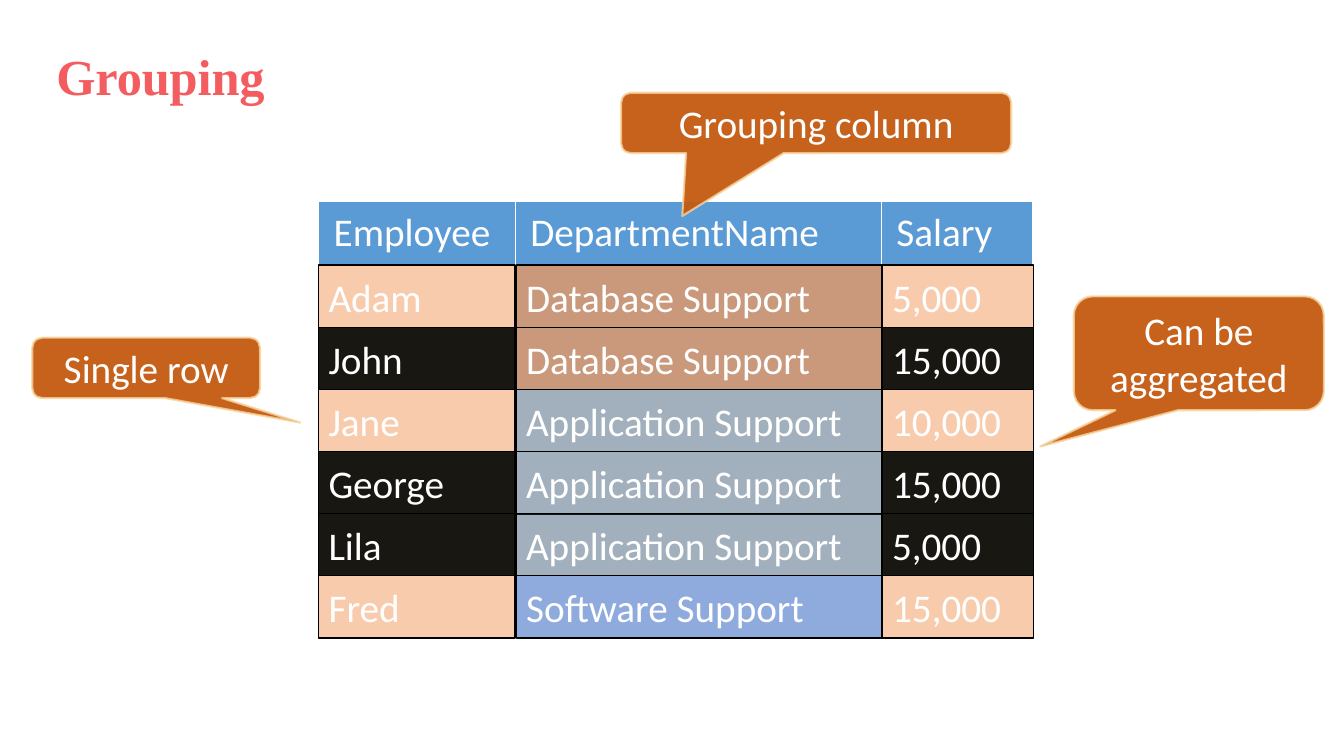
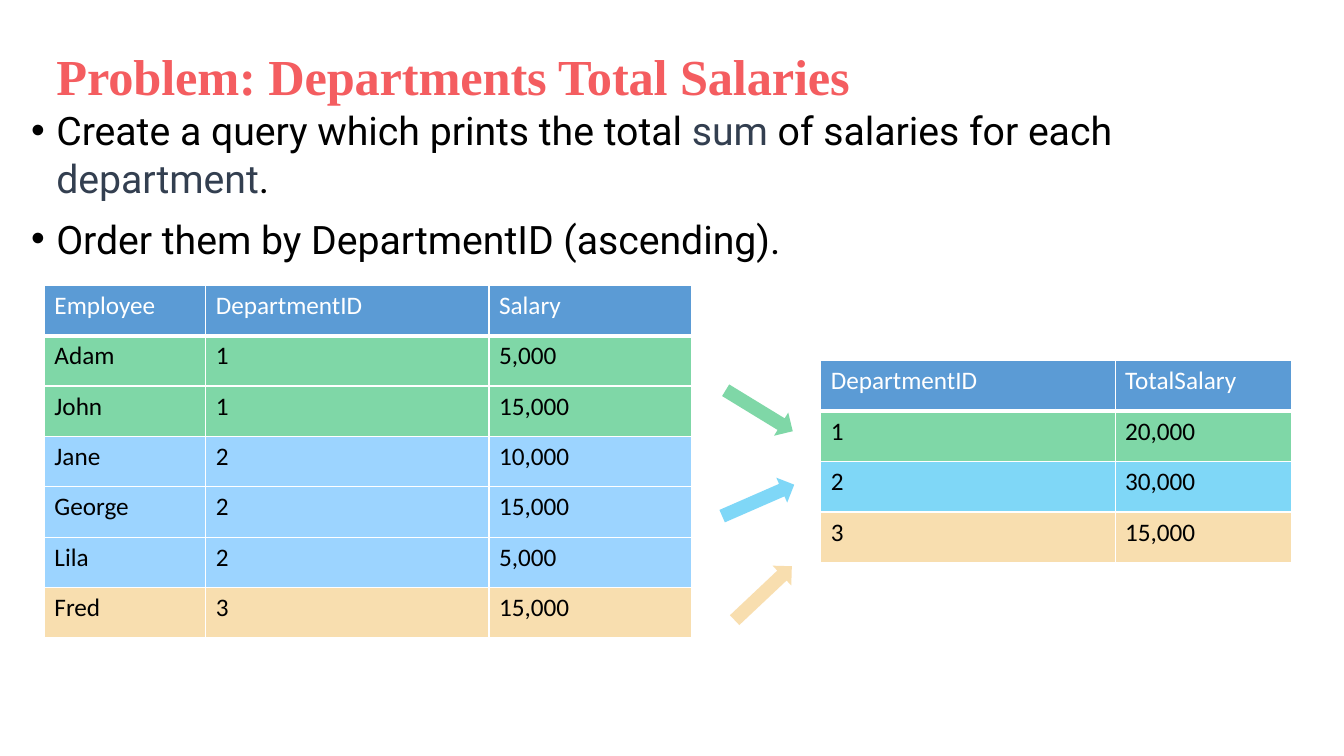
import pptx
import pptx.dml.color
import pptx.enum.shapes
import pptx.enum.text
import pptx.oxml
import pptx.oxml.ns
import pptx.util

Inches = pptx.util.Inches
Pt = pptx.util.Pt
qn = pptx.oxml.ns.qn
Shape = pptx.enum.shapes.MSO_SHAPE
Align = pptx.enum.text.PP_ALIGN
Anchor = pptx.enum.text.MSO_ANCHOR

WHITE, BLACK = "FFFFFF", "000000"
TITLE, HEADER, NAVY = "F45D60", "5B9BD5", "333F50"
PEACH, DARK, SOFTWARE = "F8CBAD", "191711", "8FAADC"
ORANGE, GREY, VEIL = "ED7D31", "A5A5A5", "2E75B6"
CALLOUT, CALLOUT_EDGE = "C55A11", "F8D49E"
GREEN, BLUE, CYAN, SAND = "00B050", "3BABFF", "00B0F0", "F3BE60"

EMPLOYEES = [
    ("Adam", "Database Support", "1", "5,000"),
    ("John", "Database Support", "1", "15,000"),
    ("Jane", "Application Support", "2", "10,000"),
    ("George", "Application Support", "2", "15,000"),
    ("Lila", "Application Support", "2", "5,000"),
    ("Fred", "Software Support", "3", "15,000"),
]


def color(value):
    return pptx.dml.color.RGBColor.from_string(value)


def paint(fill, parent, value, opacity=100):
    fill.solid()
    fill.fore_color.rgb = color(value)
    if opacity < 100:
        tint = parent.find(qn("a:solidFill")).find(qn("a:srgbClr"))
        alpha = tint.makeelement(qn("a:alpha"), {"val": str(opacity * 1000)})
        tint.append(alpha)


def add_span(para, text, size, value, font="Calibri"):
    span = para.add_run()
    span.text = text
    span.font.size = Pt(size)
    span.font.name = font
    span.font.color.rgb = color(value)
    return span


def add_page(deck, title, width):
    page = deck.slides.add_slide(deck.slide_layouts[5])
    box = page.shapes.title
    box.left, box.top = Inches(0.46), Inches(0.4)
    box.width, box.height = Inches(width), Inches(0.71)
    frame = box.text_frame
    frame.word_wrap = True
    frame.auto_size = pptx.enum.text.MSO_AUTO_SIZE.NONE
    frame.vertical_anchor = Anchor.TOP
    para = frame.paragraphs[0]
    para.alignment = Align.LEFT
    span = add_span(para, title, 36, TITLE, "Times New Roman")
    span.font.bold = True
    span.font._element.set("spc", "-10")
    return page


def add_block(page, kind, place, fill, opacity=100, line=None, weight=1, line_opacity=100):
    shape = page.shapes.add_shape(kind, *[Inches(value) for value in place])
    shape.shadow.inherit = False
    properties = shape._element.spPr
    paint(shape.fill, properties, fill, opacity)
    if line:
        shape.line.width = Pt(weight)
        paint(shape.line.fill, properties.find(qn("a:ln")), line, line_opacity)
    else:
        shape.line.fill.background()
    return shape


def write_label(shape, text, alignment=Align.LEFT):
    frame = shape.text_frame
    frame.word_wrap = True
    frame.vertical_anchor = Anchor.MIDDLE
    para = frame.paragraphs[0]
    para.alignment = alignment
    add_span(para, text, 28, WHITE)


def add_callout(page, place, tip, text):
    shape = add_block(page, Shape.ROUNDED_RECTANGULAR_CALLOUT, place, CALLOUT, 95,
                      CALLOUT_EDGE, 1.5, 80)
    shape.adjustments[0], shape.adjustments[1] = tip
    write_label(shape, text, Align.CENTER)


def add_arrow(page, left, top, rotation, fill):
    arrow = add_block(page, Shape.RIGHT_ARROW, (left, top, 0.78, 0.27), fill, 50)
    arrow.rotation = rotation


def set_borders(cell, bottom):
    properties = cell._tc.get_or_add_tcPr()
    for side, weight in (("L", 1), ("R", 1), ("T", 1), ("B", bottom)):
        properties.append(pptx.oxml.parse_xml(
            f'<a:ln{side} xmlns:a="http://schemas.openxmlformats.org/drawingml/2006/main" '
            f'w="{Pt(weight)}"><a:solidFill><a:srgbClr val="{WHITE}"/></a:solidFill></a:ln{side}>'))


def add_grid(page, left, top, widths, row_height, header, rows=(), fills=(), size=18, inset=None):
    lines = [header, *rows]
    frame = page.shapes.add_table(len(lines), len(widths), Inches(left), Inches(top),
                                  Inches(sum(widths)), Inches(row_height * len(lines)))
    table = frame.table
    table.first_row = table.horz_banding = False
    for column, width in zip(table.columns, widths):
        column.width = Inches(width)
    for row, texts in enumerate(lines):
        table.rows[row].height = Inches(row_height)
        for column, text in enumerate(texts):
            cell = table.cell(row, column)
            set_borders(cell, 1 if row else 3)
            if row:
                paint(cell.fill, cell._tc.tcPr, fills[row - 1], 50)
            else:
                paint(cell.fill, cell._tc.tcPr, HEADER)
            if inset:
                cell.margin_left = cell.margin_right = Inches(inset[0])
                cell.margin_top = cell.margin_bottom = Inches(inset[1])
            add_span(cell.text_frame.paragraphs[0], text, size, BLACK if row else WHITE)


def add_bullets(page, place, bullets):
    box = page.shapes.add_textbox(*[Inches(value) for value in place])
    frame = box.text_frame
    frame.word_wrap = True
    for index, spans in enumerate(bullets):
        para = frame.add_paragraph() if index else frame.paragraphs[0]
        para.space_before = Pt(10)
        properties = para._p.get_or_add_pPr()
        properties.set("marL", str(Inches(0.25)))
        properties.set("indent", str(-Inches(0.25)))
        for tag, attributes in (("a:buFont", {"typeface": "Arial"}), ("a:buChar", {"char": "•"})):
            properties.append(properties.makeelement(qn(tag), attributes))
        for text, value in spans:
            add_span(para, text, 28, value, "Roboto")


def build_grouping(deck):
    page = add_page(deck, "Grouping", 6.68)
    lefts, widths = (3.16, 5.12, 8.75), (1.95, 3.63, 1.5)
    first_top, pitch = 2.63, 3.08 / 5
    add_grid(page, lefts[0], 2, widths, 0.62, ("Employee", "DepartmentName", "Salary"),
             size=28, inset=(0.15, 0.08))
    for top, rows, fill in ((first_top, 2, ORANGE), (first_top + 2 * pitch, 3, GREY)):
        add_block(page, Shape.RECTANGLE, (lefts[1], top, widths[1], rows * pitch), fill, 70)
    row_fills = (PEACH, DARK, PEACH, DARK, DARK, PEACH)
    for row, (name, department, number, salary) in enumerate(EMPLOYEES):
        department_fill = (SOFTWARE, 100) if number == "3" else (VEIL, 20)
        fills = ((row_fills[row], 100), department_fill, (row_fills[row], 100))
        for left, width, text, fill in zip(lefts, widths, (name, department, salary), fills):
            place = (left, first_top + row * pitch, width, 0.62)
            write_label(add_block(page, Shape.RECTANGLE, place, *fill, line=BLACK), text)
    add_callout(page, (6.16, 0.92, 3.87, 0.6), (-0.343, 1.539), "Grouping column")
    add_callout(page, (0.32, 3.35, 2.26, 0.6), (0.677, 0.905), "Single row")
    add_callout(page, (10.65, 2.94, 2.48, 1.13), (-0.635, 0.819), "Can be aggregated")


def build_problem(deck):
    page = add_page(deck, "Problem: Departments Total Salaries", 9.45)
    add_bullets(page, (0.21, 1.01, 12.91, 1.75), [
        [("Create a query which prints the total ", BLACK), ("sum", NAVY),
         (" of salaries for each ", BLACK), ("department", NAVY), (".", BLACK)],
        [("Order them by DepartmentID (ascending).", BLACK)],
    ])
    department_fills = {"1": GREEN, "2": BLUE, "3": SAND}
    add_grid(page, 0.44, 2.83, (1.6, 2.81, 2.01), 0.5,
             ("Employee", "DepartmentID", "Salary"),
             [(name, number, salary) for name, department, number, salary in EMPLOYEES],
             [department_fills[employee[2]] for employee in EMPLOYEES])
    add_grid(page, 8.14, 3.58, (2.92, 1.75), 0.5, ("DepartmentID", "TotalSalary"),
             [("1", "20,000"), ("2", "30,000"), ("3", "15,000")], (GREEN, CYAN, SAND))
    add_arrow(page, 7.14, 3.94, 31.4, GREEN)
    add_arrow(page, 7.13, 4.83, 336.4, CYAN)
    add_arrow(page, 7.18, 5.75, 316.7, SAND)


def main():
    deck = pptx.Presentation()
    deck.slide_width, deck.slide_height = Inches(13.33), Inches(7.5)
    build_grouping(deck)
    build_problem(deck)
    deck.save("out.pptx")


if __name__ == "__main__":
    main()
